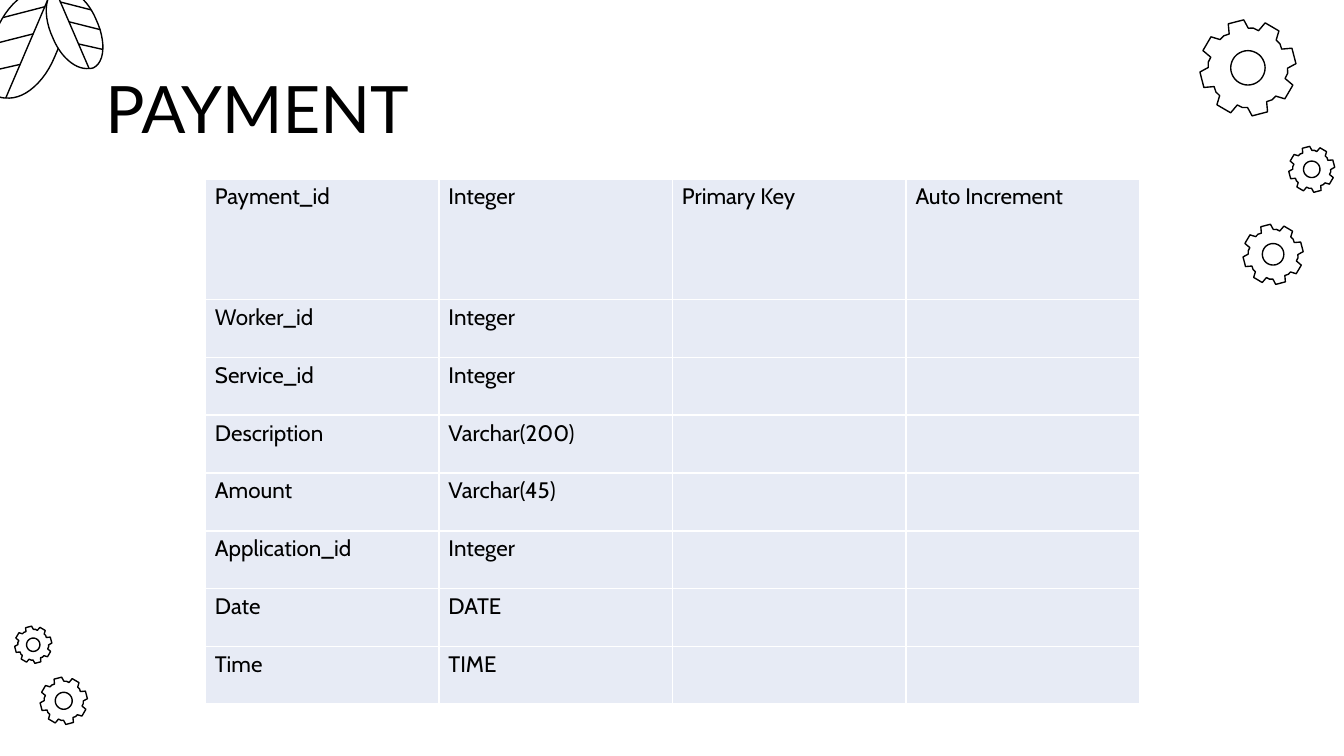
from dataclasses import dataclass
from math import cos, radians, sin
from lxml.etree import SubElement
from pptx import Presentation
from pptx.dml.color import RGBColor
from pptx.enum.shapes import MSO_CONNECTOR as Connector, MSO_SHAPE as Preset
from pptx.enum.text import MSO_ANCHOR as Anchor, PP_ALIGN as Align
from pptx.oxml.ns import qn
from pptx.util import Emu, Inches, Pt


@dataclass(frozen=True)
class Theme:
    ink: RGBColor = RGBColor(0, 0, 0)
    paper: RGBColor = RGBColor(255, 255, 255)
    cell: RGBColor = RGBColor(0xE7, 0xEB, 0xF5)
    title_font: str = "Lato"
    body_font: str = "Cabin"
    title_size: Pt = Pt(35)
    body_size: Pt = Pt(12)
    outline: Pt = Pt(0.75)
    patch_line: Pt = Pt(2)
    border: Pt = Pt(1)


THEME = Theme()
COLUMNS = 100
SLIDE_WIDTH = Inches(10)
SLIDE_HEIGHT = SLIDE_WIDTH * 9 // 16
GRID = SLIDE_WIDTH / COLUMNS

GEARS = [
    (92.5, 16.7, 4.45),
    (95.9, 10.9, 3.4),
    (89.3, 1.5, 7.1),
    (3, 50.4, 3.5),
    (1.1, 46.6, 2.75),
]
LEAVES = [((-1.3, -0.8, 6.4, 8.1), False), ((3.2, -0.8, 4.7, 5.9), True)]
LEAF_HALF = [
    [(0.31, 1), (0.27, 1), (0.23, 1), (0.2, 0.99)],
    [(0.2, 0.99), (0.02, 0.92), (0, 0.65), (0.16, 0.38)],
    [(0.16, 0.38), (0.28, 0.15), (0.5, 0), (0.69, 0)],
]
LEAF_VEINS = [
    ((0.73, 0.16), (0.24, 0.26)),
    ((0.59, 0.41), (0.09, 0.51)),
    ((0.44, 0.69), (0.05, 0.76)),
    ((0.27, 1), (0.8, 0.02)),
]
FIELDS = [
    ("Payment_id", "Integer", "Primary Key", "Auto Increment"),
    ("Worker_id", "Integer"),
    ("Service_id", "Integer"),
    ("Description", "Varchar(200)"),
    ("Amount", "Varchar(45)"),
    ("Application_id", "Integer"),
    ("Date", "DATE"),
    ("Time", "TIME"),
]


def units(*values):
    return [Emu(round(value * GRID)) for value in values]


def apply_format(target, values):
    for name, value in values.items():
        setattr(target, name, value)


def write_text(frame, text, font, paragraph_format):
    paragraph = frame.paragraphs[0]
    run = paragraph.add_run()
    run.text = text
    apply_format(paragraph, paragraph_format)
    apply_format(run.font, font)
    run.font.color.rgb = THEME.ink


def style_shape(shape, fill, line, width):
    shape.shadow.inherit = False
    if fill is None:
        shape.fill.background()
    else:
        shape.fill.solid()
        shape.fill.fore_color.rgb = fill
    shape.line.color.rgb = line
    shape.line.width = width


def draw_outline(shapes, contours, fill=None):
    first, *others = [[units(*point) for point in contour] for contour in contours]
    builder = shapes.build_freeform(*first[0], scale=1.0)
    builder.add_line_segments(first[1:], close=True)
    for contour in others:
        builder.move_to(*contour[0])
        builder.add_line_segments(contour[1:], close=True)
    style_shape(builder.convert_to_shape(), fill, THEME.ink, THEME.outline)


def draw_gear(shapes, box, teeth=8):
    left, top, size = box
    radius = size / 2
    pitch = 360 / teeth

    def polar(angle, share):
        turn = radians(angle)
        return (left + radius * (1 + share * cos(turn)),
                top + radius * (1 + share * sin(turn)))

    profile = [(16, 0.81), (21, 1.01), (40, 1.01), (45.5, 0.83), (53, 0.84)]
    rim = [polar(tooth * pitch + angle, share)
           for tooth in range(teeth) for angle, share in profile]
    hole = [polar(angle, 0.36) for angle in range(0, 360, 10)]
    draw_outline(shapes, [hole, rim])


def curve_points(start, pull, push, end, steps=12):
    for step in range(steps):
        t = step / steps
        weights = ((1 - t) ** 3, 3 * t * (1 - t) ** 2, 3 * t * t * (1 - t), t ** 3)
        yield tuple(sum(weight * value for weight, value in zip(weights, axis))
                    for axis in zip(start, pull, push, end))


def draw_leaf(shapes, box, mirrored):
    left, top, width, height = box
    group = shapes.add_group_shape()

    def place(point):
        x, y = point
        return left + width * (1 - x if mirrored else x), top + height * y

    half = [point for curve in LEAF_HALF for point in curve_points(*curve)]
    edge = half + [(1 - x, 1 - y) for x, y in half]
    draw_outline(group.shapes, [[place(point) for point in edge]], THEME.paper)
    for start, end in LEAF_VEINS:
        vein = group.shapes.add_connector(
            Connector.STRAIGHT, *units(*place(start), *place(end)))
        vein.line.color.rgb = THEME.ink
        vein.line.width = THEME.outline
        SubElement(vein._element.spPr, qn("a:effectLst"))


def draw_title(shapes, box):
    frame = shapes.add_textbox(*units(*box)).text_frame
    apply_format(frame, {
        "word_wrap": True, "vertical_anchor": Anchor.MIDDLE,
        "margin_left": 0, "margin_right": 0, "margin_top": 0, "margin_bottom": 0,
    })
    write_text(frame, "PAYMENT",
               {"name": THEME.title_font, "size": THEME.title_size},
               {"alignment": Align.LEFT})


def draw_patch(shapes, box):
    patch = shapes.add_shape(Preset.RECTANGLE, *units(*box))
    style_shape(patch, THEME.paper, THEME.paper, THEME.patch_line)


def style_cell(cell):
    properties = cell._tc.get_or_add_tcPr()
    for side in ("a:lnL", "a:lnR", "a:lnT", "a:lnB"):
        line = SubElement(properties, qn(side), w=str(THEME.border))
        fill = SubElement(line, qn("a:solidFill"))
        SubElement(fill, qn("a:srgbClr"), val=str(THEME.paper))
    cell.fill.solid()
    cell.fill.fore_color.rgb = THEME.cell
    side_margin, = units(0.7)
    apply_format(cell, {"margin_left": side_margin, "margin_right": side_margin,
                        "margin_top": 0, "margin_bottom": 0})


def draw_fields(shapes, box, first_height):
    row_count, column_count = len(FIELDS), len(FIELDS[0])
    table = shapes.add_table(row_count, column_count, *units(*box)).table
    apply_format(table, {"first_row": False, "horz_banding": False})
    for column in table.columns:
        column.width, = units(box[2] / column_count)
    row_height = (box[3] - first_height) / (row_count - 1)
    for index, row in enumerate(table.rows):
        row.height, = units(row_height if index else first_height)
    for cell in table.iter_cells():
        style_cell(cell)
    for row, field in enumerate(FIELDS):
        for column, text in enumerate(field):
            write_text(table.cell(row, column).text_frame, text,
                       {"name": THEME.body_font, "size": THEME.body_size},
                       {"alignment": Align.JUSTIFY, "line_spacing": 1.15})


def main():
    presentation = Presentation()
    apply_format(presentation, {"slide_width": SLIDE_WIDTH, "slide_height": SLIDE_HEIGHT})
    slide = presentation.slides.add_slide(presentation.slide_layouts[6])
    slide.background.fill.solid()
    slide.background.fill.fore_color.rgb = THEME.paper
    for box in GEARS:
        draw_gear(slide.shapes, box)
    for box, mirrored in LEAVES:
        draw_leaf(slide.shapes, box, mirrored)
    draw_title(slide.shapes, (7.85, 4.85, 84.3, 6.3))
    draw_patch(slide.shapes, (41.1, 9, 5.6, 2.1))
    draw_fields(slide.shapes, (15.3, 13.3, 69.5, 39.1), first_height=9)
    presentation.save("out.pptx")


if __name__ == "__main__":
    main()
